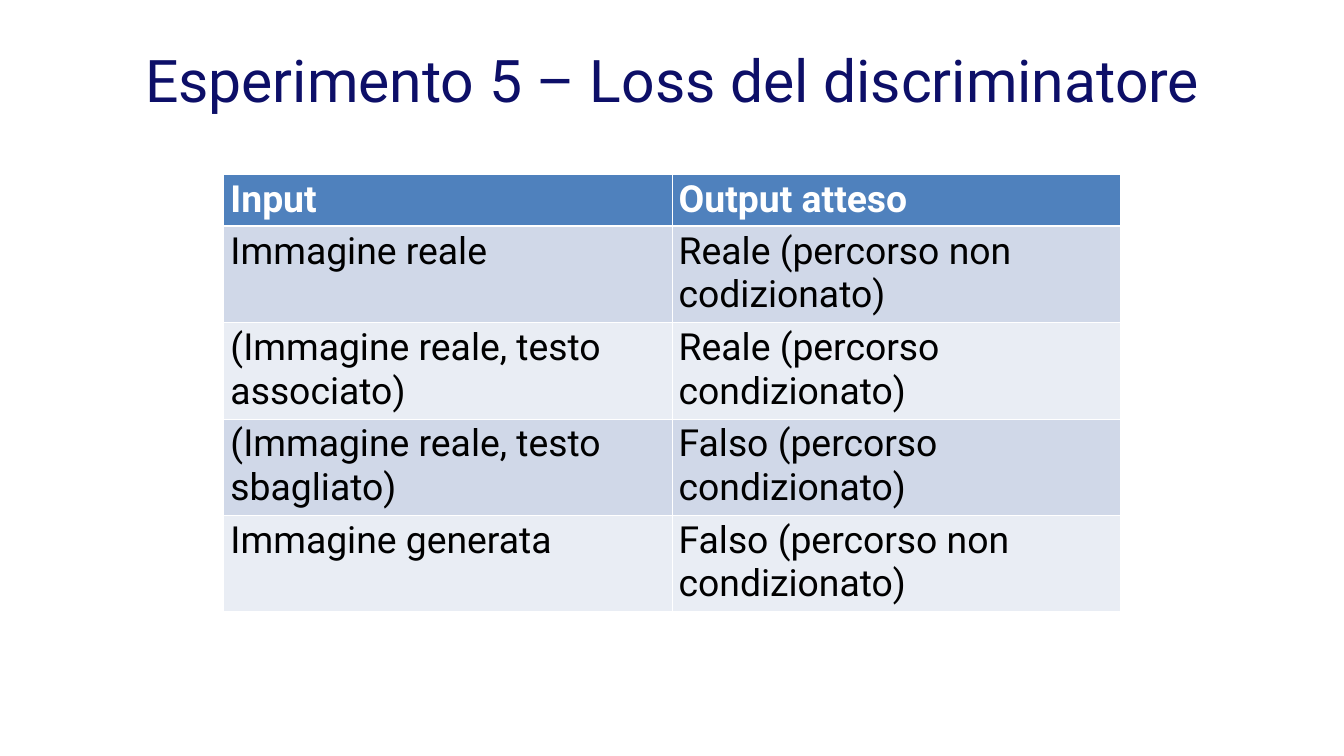
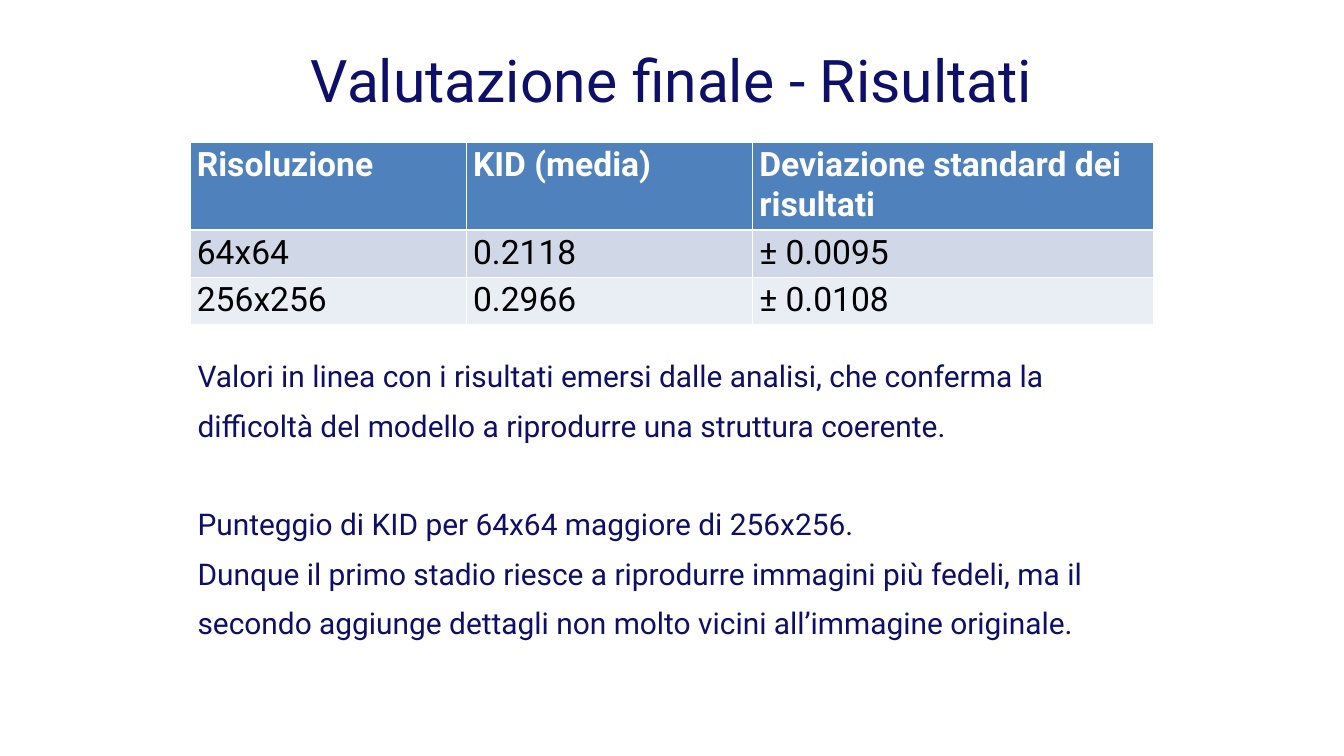
from dataclasses import dataclass

from lxml import etree
from pptx import Presentation
from pptx import util as u
from pptx.dml.color import RGBColor
from pptx.enum import text
from pptx.oxml import ns

FONT = "Roboto"
NAVY, WHITE, BLACK = "0D0F68", "FFFFFF", "000000"
HEADER, BANDS = "4F81BD", ("D0D8E8", "E9EDF4")


@dataclass(frozen=True)
class Title:
    """A centred slide heading."""
    words: str
    left: float
    width: float


@dataclass(frozen=True)
class Grid:
    """A banded table with a header row."""
    left: float
    top: float
    cols: tuple[float, ...]
    heights: tuple[float, ...]
    size: int
    rows: tuple[tuple[str, ...], ...]


@dataclass(frozen=True)
class Note:
    """A paragraph of commentary and the gap above it in points."""
    words: str
    before: int = 0


LOSS_TITLE = Title("Esperimento 5 – Loss del discriminatore", 0.88, 18.25)
LOSS_GRID = Grid(3.33, 2.6, (6.67,) * 2, (0.76,) + (1.43,) * 4, 40, (
    ("Input", "Output atteso"),
    ("Immagine reale", "Reale (percorso non codizionato)"),
    ("(Immagine reale, testo associato)", "Reale (percorso condizionato)"),
    ("(Immagine reale, testo sbagliato)", "Falso (percorso condizionato)"),
    ("Immagine generata", "Falso (percorso non condizionato)"),
))
RESULTS_TITLE = Title("Valutazione finale - Risultati", 2.32, 15.35)
RESULTS_GRID = Grid(2.83, 2.12, (4.11, 4.26, 5.97), (1.3, 0.7, 0.7), 36, (
    ("Risoluzione", "KID (media)", "Deviazione standard dei risultati"),
    ("64x64", "0.2118", "± 0.0095"),
    ("256x256", "0.2966", "± 0.0108"),
))
RESULTS_NOTES = (
    Note("Valori in linea con i risultati emersi dalle analisi, che conferma la "
         "difficoltà del modello a riprodurre una struttura coerente."),
    Note("Punteggio di KID per 64x64 maggiore di 256x256.", before=53),
    Note("Dunque il primo stadio riesce a riprodurre immagini più fedeli, ma il "
         "secondo aggiunge dettagli non molto vicini all’immagine originale."),
)


def rgb(color: str) -> RGBColor:
    """Turn a hex string into a colour."""
    return RGBColor.from_string(color)


def set_font(p, size: float, color: str, bold: bool = False) -> None:
    """Style a whole paragraph."""
    p.font.name, p.font.size, p.font.bold = FONT, u.Pt(size), bold
    p.font.color.rgb = rgb(color)


def add_box(slide, left: float, top: float, width: float, height: float):
    """Add a wrapping text box without margins and return its frame."""
    sp = slide.shapes.add_textbox(*map(u.Inches, (left, top, width, height)))
    tf = sp.text_frame
    tf.word_wrap = True
    tf.auto_size = text.MSO_AUTO_SIZE.SHAPE_TO_FIT_TEXT
    tf.margin_left = tf.margin_top = tf.margin_right = tf.margin_bottom = 0
    return tf


def add_title(slide, title: Title) -> None:
    """Draw the slide heading."""
    p = add_box(slide, title.left, 0.48, title.width, 1.15).paragraphs[0]
    p.text = title.words
    p.alignment = text.PP_ALIGN.CENTER
    p.line_spacing = u.Pt(88.2)
    set_font(p, 63, NAVY)


def add_notes(slide, notes: tuple[Note, ...]) -> None:
    """Draw the indented commentary below a table."""
    tf = add_box(slide, 2.33, 5.12, 14.83, 5.15)
    for i, note in enumerate(notes):
        p = tf.add_paragraph() if i else tf.paragraphs[0]
        p.text = note.words
        pPr = p._p.get_or_add_pPr()
        pPr.set("marL", str(u.Inches(0.61)))
        pPr.set("indent", "0")
        p.line_spacing = u.Pt(53)
        if note.before:
            p.space_before = u.Pt(note.before)
        set_font(p, 32, NAVY)


def set_borders(cell, top: float, bottom: float) -> None:
    """Give a cell white borders, one point wide at the sides."""
    tcPr = cell._tc.get_or_add_tcPr()
    for side, width in (("L", 1), ("R", 1), ("T", top), ("B", bottom)):
        ln = etree.SubElement(tcPr, ns.qn(f"a:ln{side}"), w=str(u.Pt(width)))
        fill = etree.SubElement(ln, ns.qn("a:solidFill"))
        etree.SubElement(fill, ns.qn("a:srgbClr"), val=WHITE)


def add_grid(slide, grid: Grid) -> None:
    """Draw a table with a header and alternating bands."""
    table = slide.shapes.add_table(
        len(grid.rows), len(grid.cols), u.Inches(grid.left), u.Inches(grid.top),
        u.Inches(sum(grid.cols)), u.Inches(sum(grid.heights))).table
    for column, width in zip(table.columns, grid.cols):
        column.width = u.Inches(width)
    for i, (row, height, words) in enumerate(zip(table.rows, grid.heights, grid.rows)):
        row.height = u.Inches(height)
        is_header = i == 0
        for cell, word in zip(row.cells, words):
            set_borders(cell, top=3 if i == 1 else 1, bottom=3 if is_header else 1)
            cell.fill.solid()
            cell.fill.fore_color.rgb = rgb(HEADER if is_header else BANDS[(i - 1) % 2])
            p = cell.text_frame.paragraphs[0]
            p.text = word
            set_font(p, grid.size, WHITE if is_header else BLACK, is_header)


def add_slide(prs, title: Title, grid: Grid, notes: tuple[Note, ...] = ()) -> None:
    """Build a slide from a heading, a table and optional commentary."""
    slide = prs.slides.add_slide(prs.slide_layouts[6])
    slide.background.fill.solid()
    slide.background.fill.fore_color.rgb = rgb(WHITE)
    add_title(slide, title)
    if notes:
        add_notes(slide, notes)
    add_grid(slide, grid)


def main() -> None:
    """Build and save the presentation."""
    prs = Presentation()
    prs.slide_width, prs.slide_height = u.Inches(20), u.Inches(11.25)
    add_slide(prs, LOSS_TITLE, LOSS_GRID)
    add_slide(prs, RESULTS_TITLE, RESULTS_GRID, RESULTS_NOTES)
    prs.save("out.pptx")


if __name__ == "__main__":
    main()
